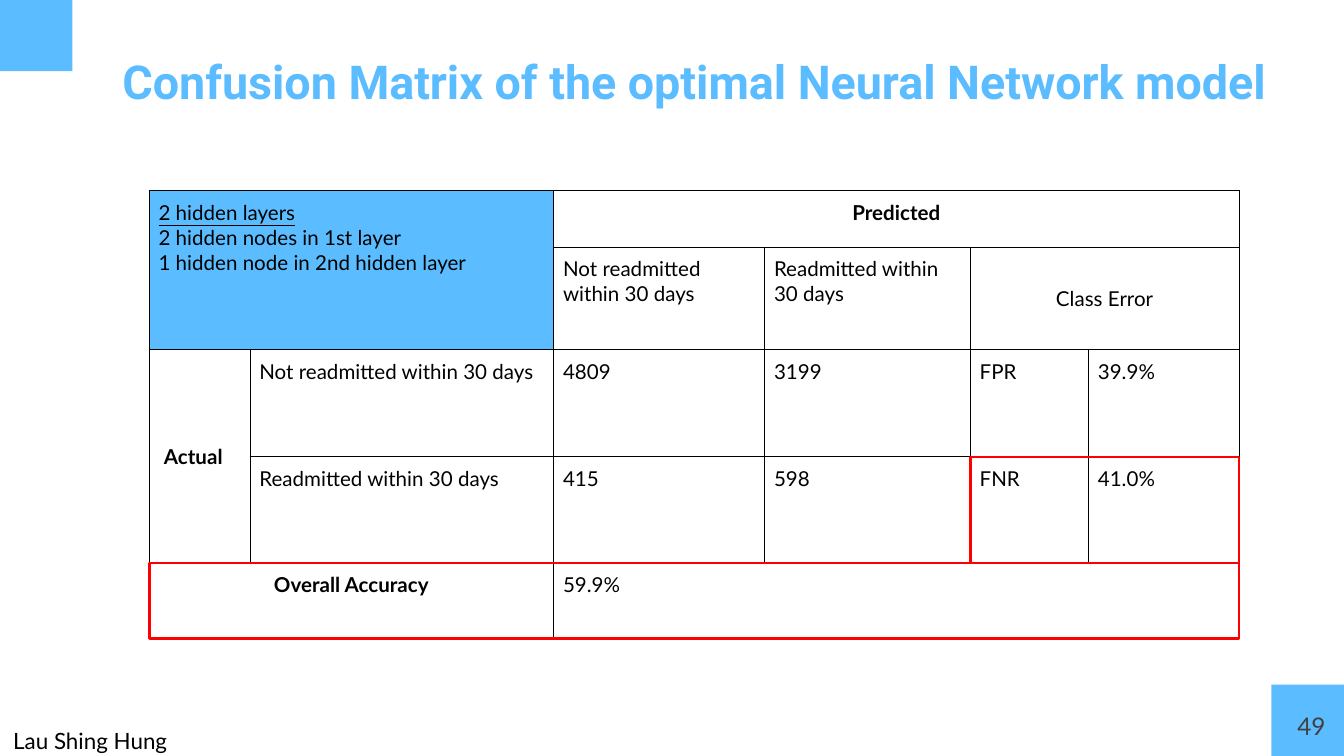
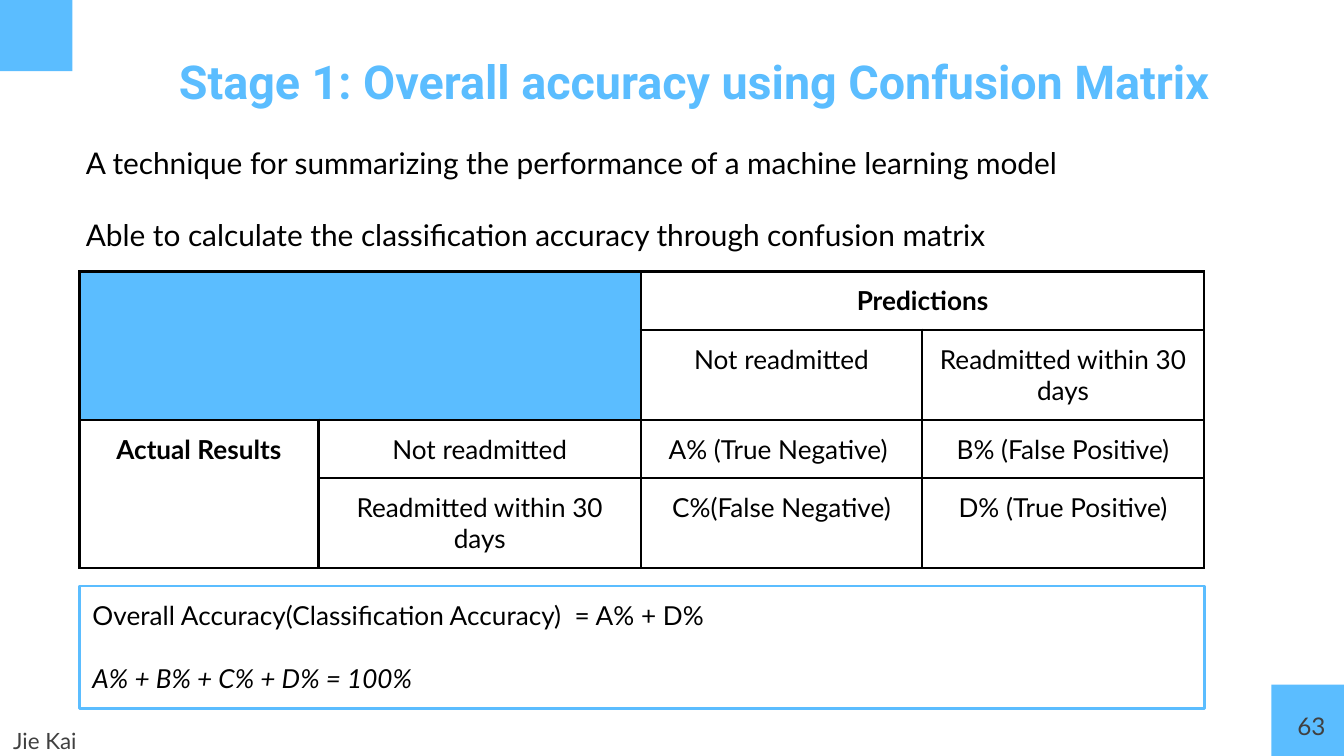
from dataclasses import dataclass

from lxml import etree
from pptx import Presentation
from pptx.dml.color import RGBColor
from pptx.enum.shapes import MSO_SHAPE as Shape
from pptx.enum.text import MSO_ANCHOR as Anchor, PP_ALIGN as Align
from pptx.oxml.ns import qn
from pptx.util import Inches, Pt

COLORS = {
    "sky": "5BBDFF",
    "black": "000000",
    "gray": "404040",
    "red": "FF0000",
}
BODY_FONT = "Lato"
TITLE_FONT = "Roboto"
PAGE_WIDTH = 10
PAGE_HEIGHT = PAGE_WIDTH * 9 / 16
CORNER_WIDTH, CORNER_HEIGHT = 0.54, 0.53


@dataclass
class Box:
    left: float
    top: float
    width: float
    height: float

    def lengths(self):
        return [Inches(v) for v in (self.left, self.top, self.width, self.height)]


@dataclass
class Entry:
    row: int
    column: int
    lines: tuple = ()
    rows: int = 1
    columns: int = 1
    align: Align = Align.LEFT
    anchor: Anchor = Anchor.TOP
    bold: bool = False
    underline_first: bool = False
    fill: str = ""
    indent: float = 0


def color(name):
    return RGBColor.from_string(COLORS[name])


def add_span(para, text, size, tint="black", font=BODY_FONT, bold=False, italic=False, underline=False):
    span = para.add_run()
    span.text = text
    span.font.name = font
    span.font.size = Pt(size)
    span.font.color.rgb = color(tint)
    span.font.bold = bold
    span.font.italic = italic
    span.font.underline = underline


def next_para(frame, index):
    return frame.add_paragraph() if index else frame.paragraphs[0]


def set_insets(target, inset):
    target.margin_left = target.margin_right = Inches(inset)
    target.margin_top = target.margin_bottom = Inches(inset)


def prepare_frame(shape, anchor=Anchor.TOP):
    frame = shape.text_frame
    frame.word_wrap = True
    frame.vertical_anchor = anchor
    set_insets(frame, 0.1)
    return frame


def add_label(page, box, text, size, tint, align=Align.LEFT, anchor=Anchor.TOP, spacing=1.0,
              font=BODY_FONT, bold=False):
    frame = prepare_frame(page.shapes.add_textbox(*box.lengths()), anchor)
    para = frame.paragraphs[0]
    para.alignment = align
    para.line_spacing = spacing
    add_span(para, text, size, tint, font, bold)


def add_rectangle(page, box, fill=None, line=None):
    shape = page.shapes.add_shape(Shape.RECTANGLE, *box.lengths())
    shape.shadow.inherit = False
    if fill:
        shape.fill.solid()
        shape.fill.fore_color.rgb = color(fill)
    else:
        shape.fill.background()
    if line:
        shape.line.color.rgb = color(line)
        shape.line.width = Pt(1.5)
    else:
        shape.line.fill.background()
    return shape


def add_spaced_lines(frame, lines, size, gap):
    for index, (text, italic) in enumerate(lines):
        para = next_para(frame, index)
        para.alignment = Align.LEFT
        if index:
            para.space_before = Pt(gap)
        add_span(para, text, size, italic=italic)


def add_page(deck, title, number, author, author_color):
    page = deck.slides.add_slide(deck.slide_layouts[6])
    for left, top in ((0, 0), (PAGE_WIDTH - CORNER_WIDTH, PAGE_HEIGHT - CORNER_HEIGHT)):
        add_rectangle(page, Box(left, top, CORNER_WIDTH, CORNER_HEIGHT), fill="sky")
    add_label(page, Box(0.65, 0.29, 9.03, 0.63), title, 25, "sky", Align.CENTER,
              font=TITLE_FONT, bold=True)
    add_label(page, Box(9.36, 5.19, 0.6, 0.43), number, 13, "gray", Align.RIGHT)
    add_label(page, Box(0, 5.37, 2.79, 0.25), author, 12, author_color,
              anchor=Anchor.MIDDLE, spacing=1.15)
    return page


def set_borders(cell, width):
    properties = cell._tc.get_or_add_tcPr()
    for side in ("a:lnL", "a:lnR", "a:lnT", "a:lnB"):
        line = etree.SubElement(properties, qn(side), w=str(Pt(width)))
        solid = etree.SubElement(line, qn("a:solidFill"))
        etree.SubElement(solid, qn("a:srgbClr"), val=COLORS["black"])


def fill_entry(table, entry, size, inset):
    cell = table.cell(entry.row, entry.column)
    if entry.rows * entry.columns > 1:
        cell.merge(table.cell(entry.row + entry.rows - 1, entry.column + entry.columns - 1))
    cell.vertical_anchor = entry.anchor
    cell.margin_left = Inches(inset + entry.indent)
    if entry.fill:
        cell.fill.solid()
        cell.fill.fore_color.rgb = color(entry.fill)
    for index, text in enumerate(entry.lines):
        para = next_para(cell.text_frame, index)
        para.alignment = entry.align
        add_span(para, text, size, bold=entry.bold,
                 underline=entry.underline_first and index == 0)


def add_matrix(page, box, columns, rows, entries, size, inset, border):
    table = page.shapes.add_table(len(rows), len(columns), *box.lengths()).table
    table.first_row = table.horz_banding = False
    for column, width in zip(table.columns, columns):
        column.width = Inches(width)
    for row, height in zip(table.rows, rows):
        row.height = Inches(height)
    for cell in table.iter_cells():
        set_insets(cell, inset)
        set_borders(cell, border)
        cell.fill.background()
        cell.text_frame.paragraphs[0].font.size = Pt(size)
    for entry in entries:
        fill_entry(table, entry, size, inset)


def add_network_matrix(page, box):
    columns = (0.75, 2.26, 1.57, 1.53, 0.88, 1.12)
    rows = (0.42, 0.76, 0.8, 0.79, 0.56)
    classes = ("Not readmitted within 30 days", "Readmitted within 30 days")
    results = (("4809", "3199", "FPR", "39.9%"), ("415", "598", "FNR", "41.0%"))
    entries = [
        Entry(0, 0, ("2 hidden layers", "2 hidden nodes in 1st layer",
                     "1 hidden node in 2nd hidden layer"),
              rows=2, columns=2, underline_first=True, fill="sky"),
        Entry(0, 2, ("Predicted",), columns=4, align=Align.CENTER, bold=True),
        Entry(1, 4, ("Class Error",), columns=2, align=Align.CENTER, anchor=Anchor.MIDDLE),
        Entry(2, 0, ("Actual",), rows=2, align=Align.JUSTIFY, anchor=Anchor.MIDDLE,
              bold=True, indent=0.04),
        Entry(4, 0, ("Overall Accuracy",), columns=2, align=Align.CENTER, bold=True),
        Entry(4, 2, ("59.9%",), columns=4),
    ]
    for index, (name, values) in enumerate(zip(classes, results)):
        entries.append(Entry(1, 2 + index, (name,)))
        entries.append(Entry(2 + index, 1, (name,)))
        entries += [Entry(2 + index, 2 + place, (value,), align=Align.JUSTIFY)
                    for place, value in enumerate(values)]
    add_matrix(page, box, columns, rows, entries, 11, 0.07, 0.5)
    for row, column in ((3, 4), (4, 0)):
        highlight = Box(box.left + sum(columns[:column]), box.top + sum(rows[:row]),
                        sum(columns[column:]), rows[row])
        add_rectangle(page, highlight, line="red")


def add_accuracy_matrix(page, box):
    columns = (1.78, 2.4, 2.09, 2.1)
    rows = (0.43, 0.67) * 2
    classes = ("Not readmitted", "Readmitted within 30 days")
    outcomes = (("A% (True Negative) ", "B% (False Positive)"),
                ("C%(False Negative)", "D% (True Positive)"))
    entries = [
        Entry(0, 0, rows=2, columns=2, fill="sky"),
        Entry(0, 2, ("Predictions",), columns=2, align=Align.CENTER, bold=True),
        Entry(2, 0, ("Actual Results",), rows=2, align=Align.CENTER, bold=True),
    ]
    for index, (name, values) in enumerate(zip(classes, outcomes)):
        entries.append(Entry(1, 2 + index, (name,), align=Align.CENTER))
        entries += [Entry(2 + index, 1 + place, (text,), align=Align.CENTER)
                    for place, text in enumerate((name, *values))]
    add_matrix(page, box, columns, rows, entries, 14, 0.1, 1.5)


def add_introduction(page, box):
    frame = prepare_frame(page.shapes.add_textbox(*box.lengths()))
    lines = (
        ("A technique for summarizing the performance of a machine learning model", False),
        ("Able to calculate the classification accuracy through confusion matrix", False),
    )
    add_spaced_lines(frame, lines, 16, 19)


def add_formula(page, box):
    frame = prepare_frame(add_rectangle(page, box, line="sky"))
    lines = (
        ("Overall Accuracy(Classification Accuracy)  = A% + D%", False),
        ("A% + B% + C% + D% = 100%", True),
    )
    add_spaced_lines(frame, lines, 14, 17)


def build_network_page(deck):
    page = add_page(deck, "Confusion Matrix of the optimal Neural Network model",
                    "49", "Lau Shing Hung", "black")
    add_network_matrix(page, Box(1.11, 1.42, 8.11, 3.33))


def build_accuracy_page(deck):
    page = add_page(deck, "Stage 1: Overall accuracy using Confusion Matrix",
                    "63", "Jie Kai", "gray")
    add_introduction(page, Box(0.54, 0.98, 9.25, 1.21))
    add_accuracy_matrix(page, Box(0.59, 2.02, 8.37, 2.2))
    add_formula(page, Box(0.59, 4.36, 8.37, 0.91))


def main():
    deck = Presentation()
    deck.slide_width = Inches(PAGE_WIDTH)
    deck.slide_height = Inches(PAGE_HEIGHT)
    build_network_page(deck)
    build_accuracy_page(deck)
    deck.save("out.pptx")


if __name__ == "__main__":
    main()
